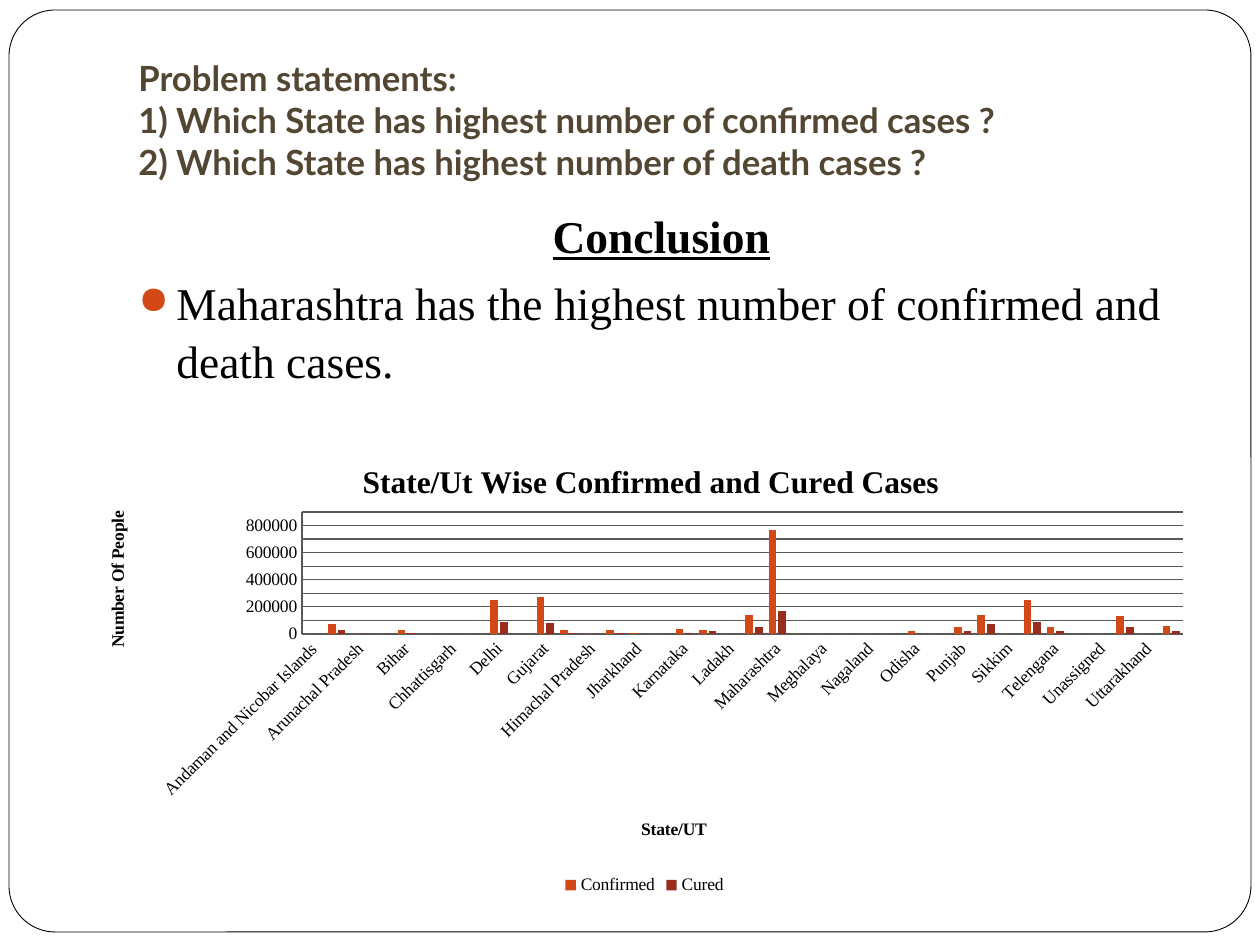
"""Builds a slide on state-wise confirmed and cured cases with a conclusion and a column chart."""
from copy import deepcopy
from lxml import etree
from pptx import Presentation
from pptx.chart.data import CategoryChartData
from pptx.dml.color import RGBColor
from pptx.enum.chart import XL_CHART_TYPE, XL_LEGEND_POSITION, XL_TICK_MARK
from pptx.enum.shapes import MSO_SHAPE
from pptx.enum.text import MSO_ANCHOR, PP_ALIGN
from pptx.oxml import parse_xml
from pptx.oxml.ns import nsdecls, qn
from pptx.util import Pt

COLUMNS = XL_CHART_TYPE.COLUMN_CLUSTERED
BOTTOM = XL_LEGEND_POSITION.BOTTOM
NO_TICK = XL_TICK_MARK.NONE
ROUNDED = MSO_SHAPE.ROUNDED_RECTANGLE
ANCHOR_BOTTOM = MSO_ANCHOR.BOTTOM
CENTER = PP_ALIGN.CENTER

PX = 914400 / 126
SERIF = "Times New Roman"
COLORS = {"white": "FFFFFF", "black": "000000", "title": "534733", "grid": "595959",
          "Confirmed": "D34817", "Cured": "9B2D1F"}
CHART = (84, 433, 1121, 467)

STATES = [
    "Andaman and Nicobar Islands", "Andhra Pradesh", "Arunachal Pradesh", "Assam", "Bihar",
    "Chandigarh", "Chhattisgarh", "Dadar Nagar Haveli", "Delhi", "Goa", "Gujarat", "Haryana",
    "Himachal Pradesh", "Jammu and Kashmir", "Jharkhand", "Jharkhand#", "Karnataka", "Kerala",
    "Ladakh", "Madhya Pradesh", "Maharashtra", "Manipur", "Meghalaya", "Mizoram", "Nagaland",
    "Nagaland#", "Odisha", "Puducherry", "Punjab", "Rajasthan", "Sikkim", "Tamil Nadu",
    "Telengana", "Tripura", "Unassigned", "Uttar Pradesh", "Uttarakhand", "West Bengal"]
CASES = {
    "Andhra Pradesh": (70000, 30000), "Bihar": (30000, 10000), "Delhi": (250000, 90000),
    "Gujarat": (270000, 80000), "Haryana": (30000, 10000), "Jammu and Kashmir": (30000, 10000),
    "Jharkhand": (10000, 0), "Karnataka": (40000, 10000), "Kerala": (30000, 20000),
    "Madhya Pradesh": (140000, 50000), "Maharashtra": (770000, 170000), "Odisha": (20000, 0),
    "Punjab": (50000, 20000), "Rajasthan": (140000, 70000), "Tamil Nadu": (250000, 90000),
    "Telengana": (50000, 20000), "Uttar Pradesh": (130000, 50000), "West Bengal": (60000, 20000)}


def style(font, size, color, name=SERIF, bold=False):
    font.size, font.name, font.bold = Pt(size), name, bold
    font.color.rgb = RGBColor.from_string(COLORS[color])


def place(parent, index, left, top, width=0, height=0):
    for old in parent.findall(qn("c:layout")):
        parent.remove(old)
    layout = parse_xml(f"<c:layout {nsdecls('c')}><c:manualLayout/></c:layout>")
    values = {"xMode": "edge", "yMode": "edge",
              "x": round((left - CHART[0]) / CHART[2], 4),
              "y": round((top - CHART[1]) / CHART[3], 4)}
    if width:
        values = {"layoutTarget": "inner", **values,
                  "w": round(width / CHART[2], 4), "h": round(height / CHART[3], 4)}
    for tag, value in values.items():
        etree.SubElement(layout[0], qn(f"c:{tag}")).set("val", str(value))
    parent.insert(index, layout)


prs = Presentation()
prs.slide_width, prs.slide_height = round(1260 * PX), round(945 * PX)
s = prs.slides.add_slide(prs.slide_layouts[6])

sp = s.shapes.add_shape(ROUNDED, *(round(v * PX) for v in (9, 10, 1242, 922)))
sp.shadow.inherit = False
sp.adjustments[0] = 0.05
sp.fill.solid()
sp.fill.fore_color.rgb = RGBColor.from_string(COLORS["white"])
sp.line.color.rgb = RGBColor.from_string(COLORS["black"])
sp.line.width = Pt(0.5)

sp = s.shapes.add_textbox(*(round(v * PX) for v in (126, 26, 1071, 169)))
tf = sp.text_frame
tf.word_wrap = True
tf.vertical_anchor = ANCHOR_BOTTOM
tf.margin_bottom = round(13 * PX)
p = tf.paragraphs[0]
for i, text in enumerate(("Problem statements:",
                          "1) Which State has highest number of confirmed cases ?",
                          "2) Which State has highest number of death cases ?")):
    if i:
        p.add_line_break()
    r = p.add_run()
    r.text = text
    style(r.font, 19.8, "title", "Lato", True)

sp = s.shapes.add_textbox(*(round(v * PX) for v in (126, 199, 1071, 200)))
tf = sp.text_frame
tf.word_wrap = True
p = tf.paragraphs[0]
p.alignment = CENTER
r = p.add_run()
r.text = "Conclusion"
style(r.font, 26, "black", bold=True)
r.font.underline = True
p = tf.add_paragraph()
r = p.add_run()
r.text = "Maharashtra has the highest number of confirmed and death cases."
style(r.font, 26, "black")
for p in tf.paragraphs:
    p.space_before = Pt(5.8)
    p.line_spacing = 1.05
pPr = p._p.get_or_add_pPr()
pPr.set("marL", str(round(38 * PX)))
pPr.set("indent", str(round(-38 * PX)))
color = etree.SubElement(pPr, qn("a:buClr"))
etree.SubElement(color, qn("a:srgbClr")).set("val", COLORS["Confirmed"])
etree.SubElement(pPr, qn("a:buSzPct")).set("val", "85000")
etree.SubElement(pPr, qn("a:buChar")).set("char", "●")

data = CategoryChartData()
data.categories = STATES
for i, name in enumerate(("Confirmed", "Cured")):
    data.add_series(name, [CASES.get(state, (0, 0))[i] for state in STATES])
chart = s.shapes.add_chart(COLUMNS, *(round(v * PX) for v in CHART), data).chart
style(chart.font, 10, "black")
chart.has_legend = True
chart.legend.position = BOTTOM
chart.legend.include_in_layout = False

plot = chart.plots[0]
plot.gap_width, plot.overlap, plot.vary_by_categories = 75, -25, False
for series in plot.series:
    series.format.fill.solid()
    series.format.fill.fore_color.rgb = RGBColor.from_string(COLORS[series.name])

cat, val = chart.category_axis, chart.value_axis
val.minimum_scale, val.maximum_scale = 0, 900000
val.major_unit, val.minor_unit = 200000, 100000
val.has_major_gridlines = val.has_minor_gridlines = True
for axis in (cat, val):
    axis.major_tick_mark = axis.minor_tick_mark = NO_TICK
    style(axis.tick_labels.font, 10, "black")
for item in (cat, val, val.major_gridlines):
    line = item.format.line
    line.color.rgb = RGBColor.from_string(COLORS["grid"])
    line.width = Pt(0.75)
major, minor = (val._element.find(qn(f"c:{kind}Gridlines")) for kind in ("major", "minor"))
minor.append(deepcopy(major.find(qn("c:spPr"))))
cat._element.find(qn("c:txPr")).find(qn("a:bodyPr")).set("rot", "-2700000")

chart.has_title = True
for title, text, size, left, top, turn in (
        (chart.chart_title, "State/Ut Wise Confirmed and Cured Cases", 18, 357, 456, 0),
        (cat.axis_title, "State/UT", 10, 638, 814, 0),
        (val.axis_title, "Number Of People", 10, 103, 508, -5400000)):
    tf = title.text_frame
    r = tf.paragraphs[0].add_run()
    r.text = text
    style(r.font, size, "black", bold=True)
    tf._txBody.find(qn("a:bodyPr")).set("rot", str(turn))
    place(title._element, 1, left, top)
place(chart._chartSpace.chart.plotArea, 0, 302, 512, 881, 122)

prs.save("out.pptx")
